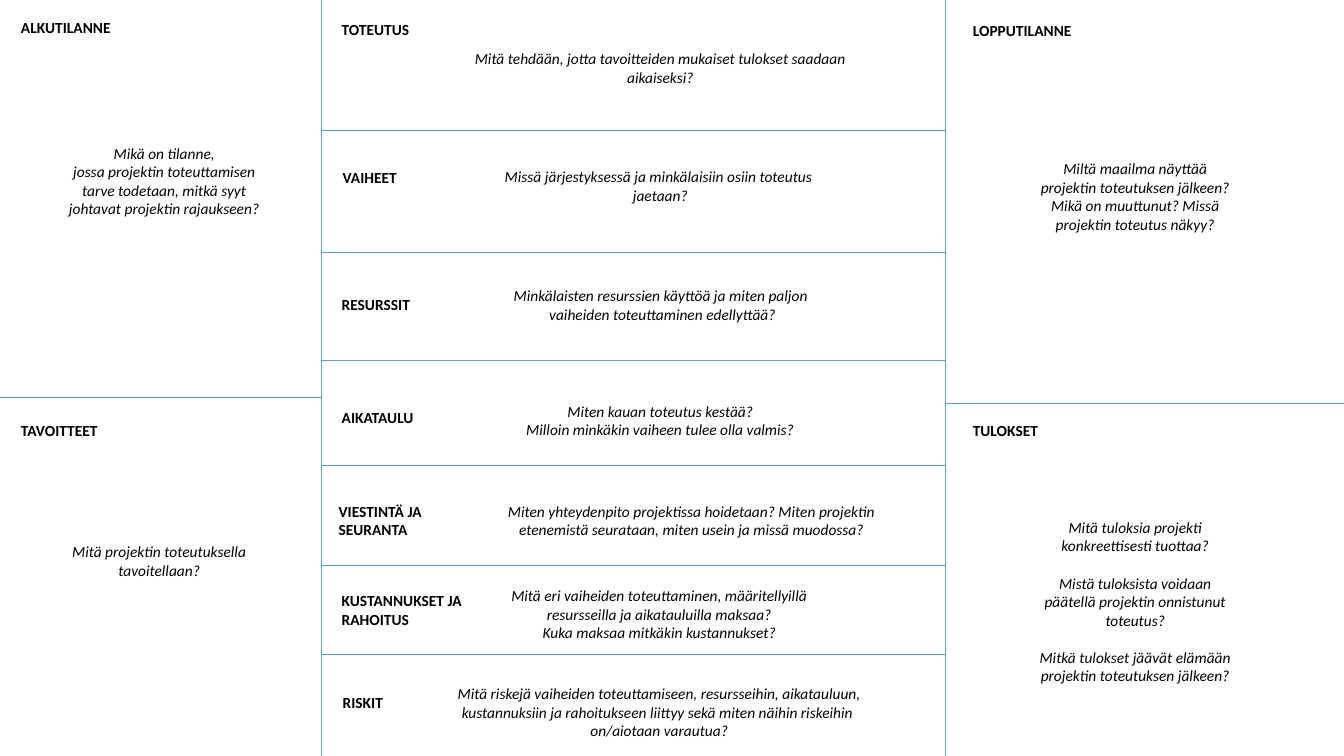
import dataclasses

import pptx
import pptx.dml.color
import pptx.enum.shapes
import pptx.enum.text
import pptx.oxml.ns
import pptx.util
from pptx.util import Inches


@dataclasses.dataclass(frozen=True)
class Theme:
    """Colours, font and sizes."""
    font: str = "Calibri"
    size: float = 11
    text: str = "000000"
    rule: str = "5B9BD5"
    rule_width: float = 0.5
    line_height: float = 0.185
    inset: float = 0.1
    blank_line: float = 13.4


@dataclasses.dataclass(frozen=True)
class Block:
    """Text placed relative to its panel; lines is the height in text lines."""
    x: float
    y: float
    w: float
    lines: int
    texts: tuple
    wrap: bool = False
    gap: bool = False


THEME = Theme()
WIDTH, HEIGHT = 13.33, 7.5
LEFT_EDGE, RIGHT_EDGE = 3.19, 9.38
LEFT_SPLIT, RIGHT_SPLIT = 3.94, 4

LEFT = [
    (Block(0.11, 0.13, 1.1, 1, ("ALKUTILANNE",)),
     Block(0.51, 1.38, 2.24, 4, ("Mikä on tilanne,", "jossa projektin toteuttamisen",
                                 "tarve todetaan, mitkä syyt",
                                 "johtavat projektin rajaukseen?"), wrap=True)),
    (Block(0.11, 0.19, 0.99, 1, ("TAVOITTEET",)),
     Block(0.46, 1.39, 2.24, 2, ("Mitä projektin toteutuksella", "tavoitellaan?"), wrap=True)),
]
RIGHT = [
    (Block(0.17, 0.16, 1.19, 1, ("LOPPUTILANNE",)),
     Block(0.76, 1.53, 2.24, 4, ("Miltä maailma näyttää", "projektin toteutuksen jälkeen?",
                                 "Mikä on muuttunut? Missä projektin toteutus näkyy?"),
           wrap=True)),
    (Block(0.17, 0.13, 0.86, 1, ("TULOKSET",)),
     Block(0.76, 1.09, 2.24, 9, ("Mitä tuloksia projekti konkreettisesti tuottaa?",
                                 "Mistä tuloksista voidaan päätellä projektin onnistunut toteutus?",
                                 "Mitkä tulokset jäävät elämään projektin toteutuksen jälkeen?"),
           wrap=True, gap=True)),
]
MIDDLE_TOPS = [0, 1.29, 2.5, 3.58, 4.62, 5.61, 6.49]
MIDDLE = [
    (Block(0.1, 0.15, 0.89, 1, ("TOTEUTUS",)),
     Block(1.4, 0.44, 3.92, 2, ("Mitä tehdään, jotta tavoitteiden mukaiset tulokset saadaan",
                                "aikaiseksi?"))),
    (Block(0.11, 0.33, 0.75, 1, ("VAIHEET",)),
     Block(1.71, 0.32, 3.3, 2, ("Missä järjestyksessä ja minkälaisiin osiin toteutus ",
                                "jaetaan?"))),
    (Block(0.1, 0.38, 0.89, 1, ("RESURSSIT",)),
     Block(1.79, 0.29, 3.15, 2, ("Minkälaisten resurssien käyttöä ja miten paljon",
                                 " vaiheiden toteuttaminen edellyttää?"))),
    (Block(0.1, 0.42, 0.95, 1, ("AIKATAULU",)),
     Block(1.92, 0.36, 2.88, 2, ("Miten kauan toteutus kestää?",
                                 "Milloin minkäkin vaiheen tulee olla valmis?"))),
    (Block(0.07, 0.31, 1.54, 2, ("VIESTINTÄ JA SEURANTA",), wrap=True),
     Block(1.4, 0.31, 4.54, 2, ("Miten yhteydenpito projektissa hoidetaan? Miten projektin "
                                "etenemistä seurataan, miten usein ja missä muodossa?",),
           wrap=True)),
    (Block(0.1, 0.21, 1.42, 2, ("KUSTANNUKSET JA", "RAHOITUS")),
     Block(1.77, 0.16, 3.16, 3, ("Mitä eri vaiheiden toteuttaminen, määritellyillä",
                                 "resursseilla ja aikatauluilla maksaa?",
                                 "Kuka maksaa mitkäkin kustannukset?"))),
    (Block(0.11, 0.34, 0.61, 1, ("RISKIT",)),
     Block(1.23, 0.25, 4.24, 3,
           ("Mitä riskejä vaiheiden toteuttamiseen, resursseihin, aikatauluun,",
            "kustannuksiin ja rahoitukseen liittyy sekä miten näihin riskeihin ",
            "on/aiotaan varautua?"))),
]


def add_rule(s, x1, y1, x2, y2):
    """Draw one thin dividing line."""
    line = s.shapes.add_connector(pptx.enum.shapes.MSO_CONNECTOR.STRAIGHT,
                                  Inches(x1), Inches(y1), Inches(x2), Inches(y2))
    line.line.color.rgb = pptx.dml.color.RGBColor.from_string(THEME.rule)
    line.line.width = pptx.util.Pt(THEME.rule_width)
    effects = pptx.oxml.parse_xml("<a:effectLst %s/>" % pptx.oxml.ns.nsdecls("a"))
    line._element.spPr.append(effects)


def add_block(s, left, top, block, heading):
    """Write a bold heading or a centred italic question block."""
    height = THEME.inset + THEME.line_height * block.lines
    sp = s.shapes.add_textbox(Inches(left + block.x), Inches(top + block.y),
                              Inches(block.w), Inches(height))
    tf = sp.text_frame
    tf.word_wrap = block.wrap
    tf.auto_size = pptx.enum.text.MSO_AUTO_SIZE.SHAPE_TO_FIT_TEXT
    for i, text in enumerate(block.texts):
        p = tf.add_paragraph() if i else tf.paragraphs[0]
        if not heading:
            p.alignment = pptx.enum.text.PP_ALIGN.CENTER
        if block.gap and i:
            p.space_before = pptx.util.Pt(THEME.blank_line)
        r = p.add_run()
        r.text = text
        r.font.name = THEME.font
        r.font.size = pptx.util.Pt(THEME.size)
        r.font.color.rgb = pptx.dml.color.RGBColor.from_string(THEME.text)
        if heading:
            r.font.bold = True
        else:
            r.font.italic = True


def add_column(s, left, right, tops, panels):
    """Stack panels between two edges, with a rule above each but the first."""
    for top, (label, prompt) in zip(tops, panels):
        if top:
            add_rule(s, left, top, right, top)
        add_block(s, left, top, label, heading=True)
        add_block(s, left, top, prompt, heading=False)


def main():
    """Build the project canvas slide."""
    prs = pptx.Presentation()
    prs.slide_width, prs.slide_height = Inches(WIDTH), Inches(HEIGHT)
    s = prs.slides.add_slide(prs.slide_layouts[6])
    for x in (LEFT_EDGE, RIGHT_EDGE):
        add_rule(s, x, 0, x, HEIGHT)
    add_column(s, 0, LEFT_EDGE, [0, LEFT_SPLIT], LEFT)
    add_column(s, LEFT_EDGE, RIGHT_EDGE, MIDDLE_TOPS, MIDDLE)
    add_column(s, RIGHT_EDGE, WIDTH, [0, RIGHT_SPLIT], RIGHT)
    prs.save("out.pptx")


if __name__ == "__main__":
    main()
